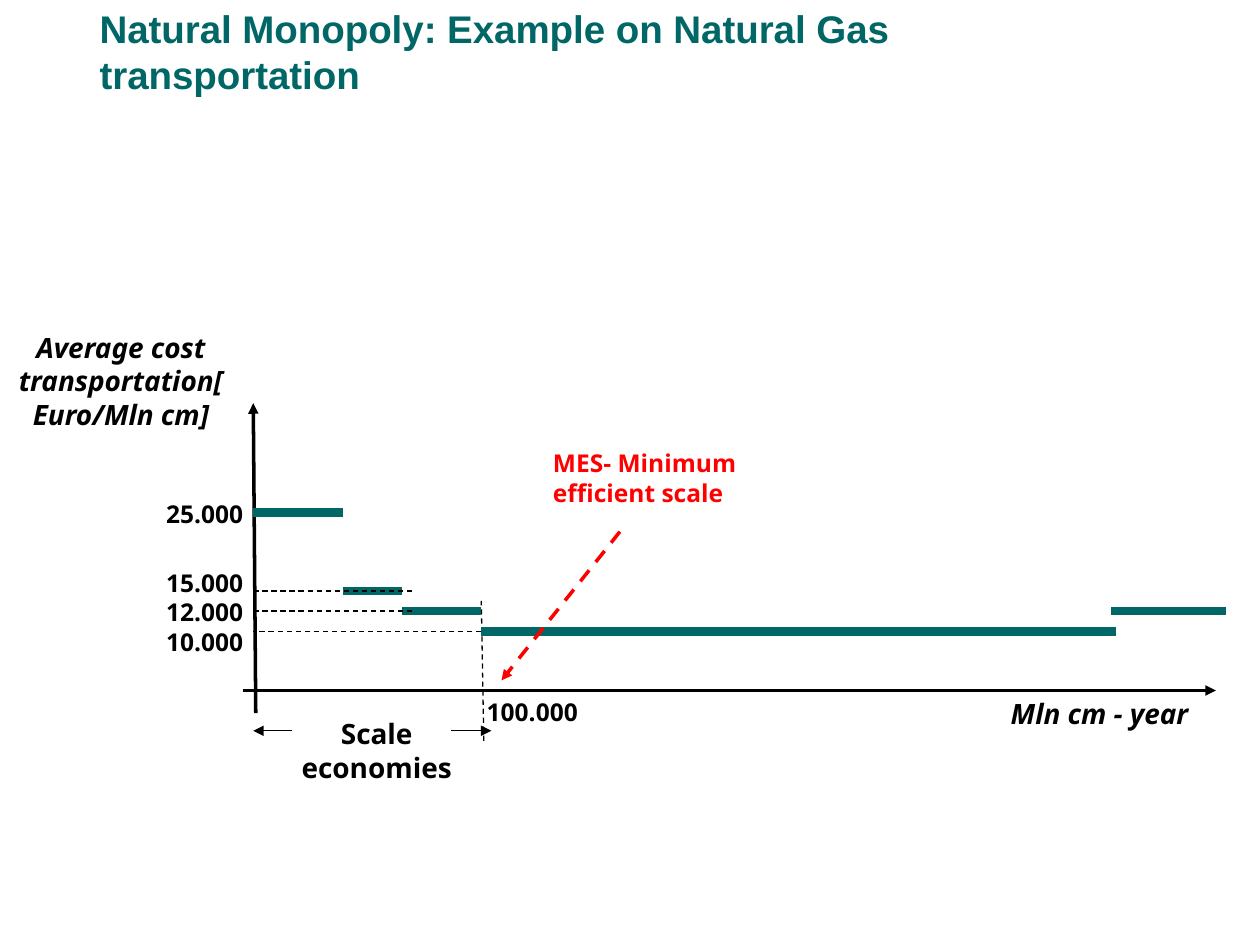
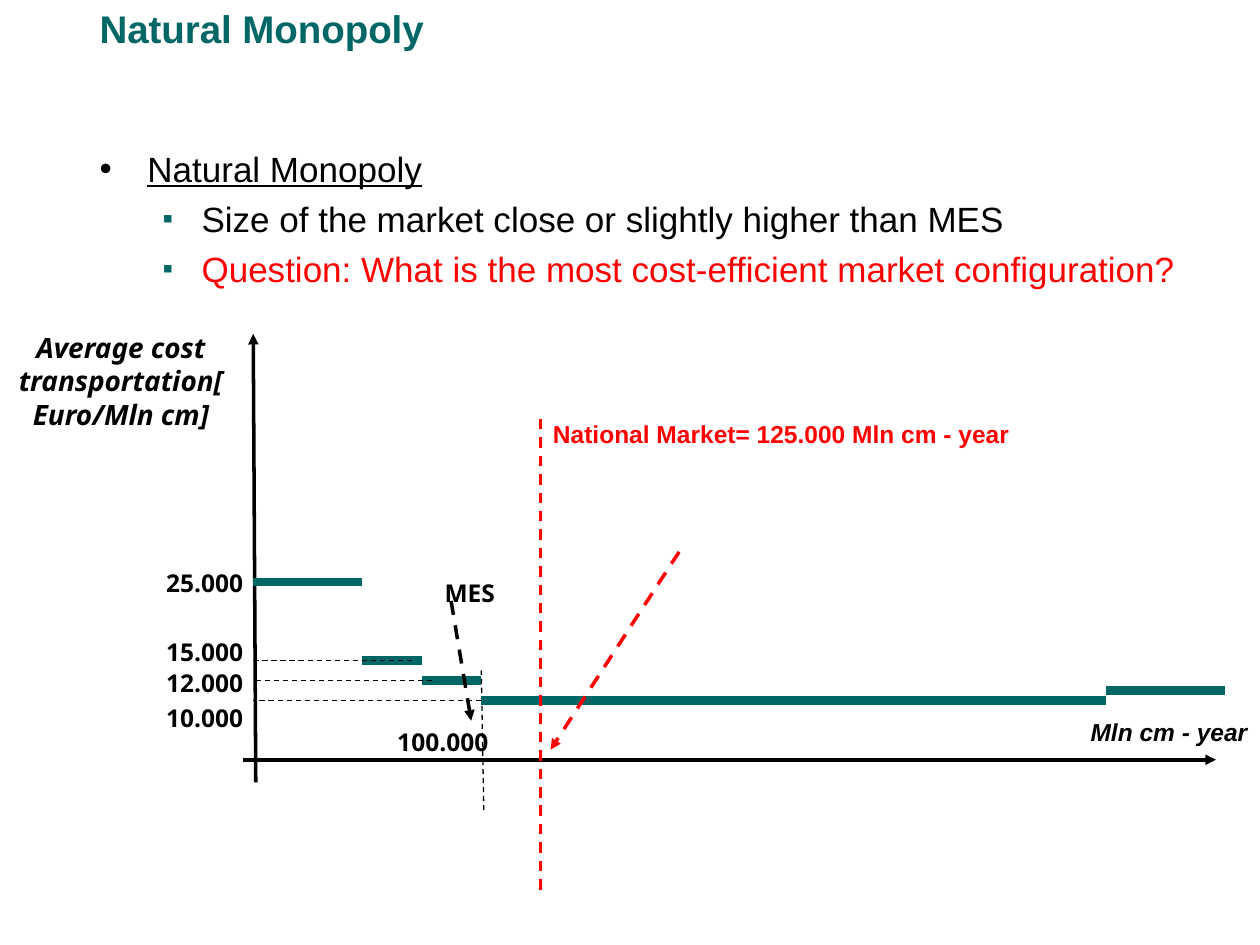
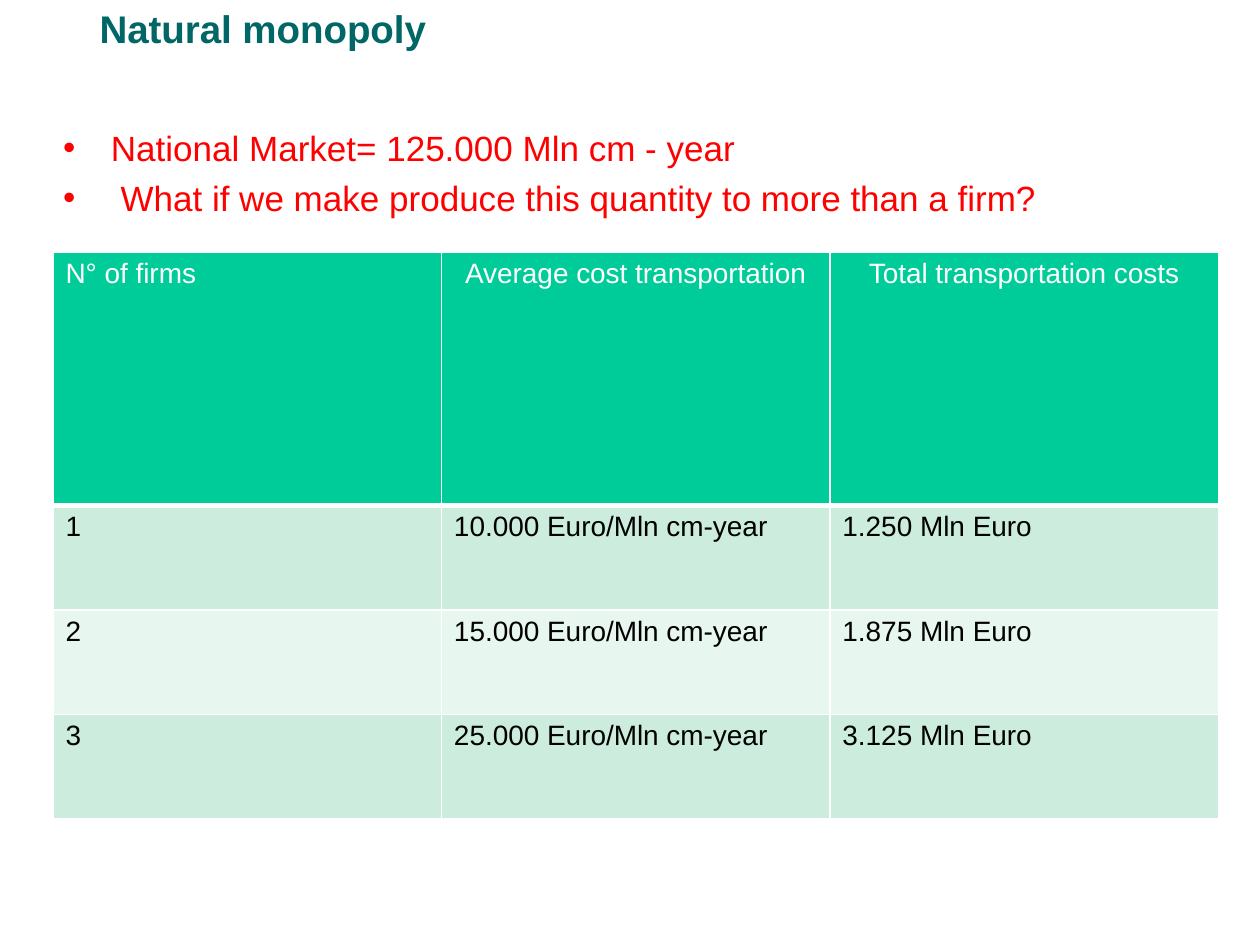
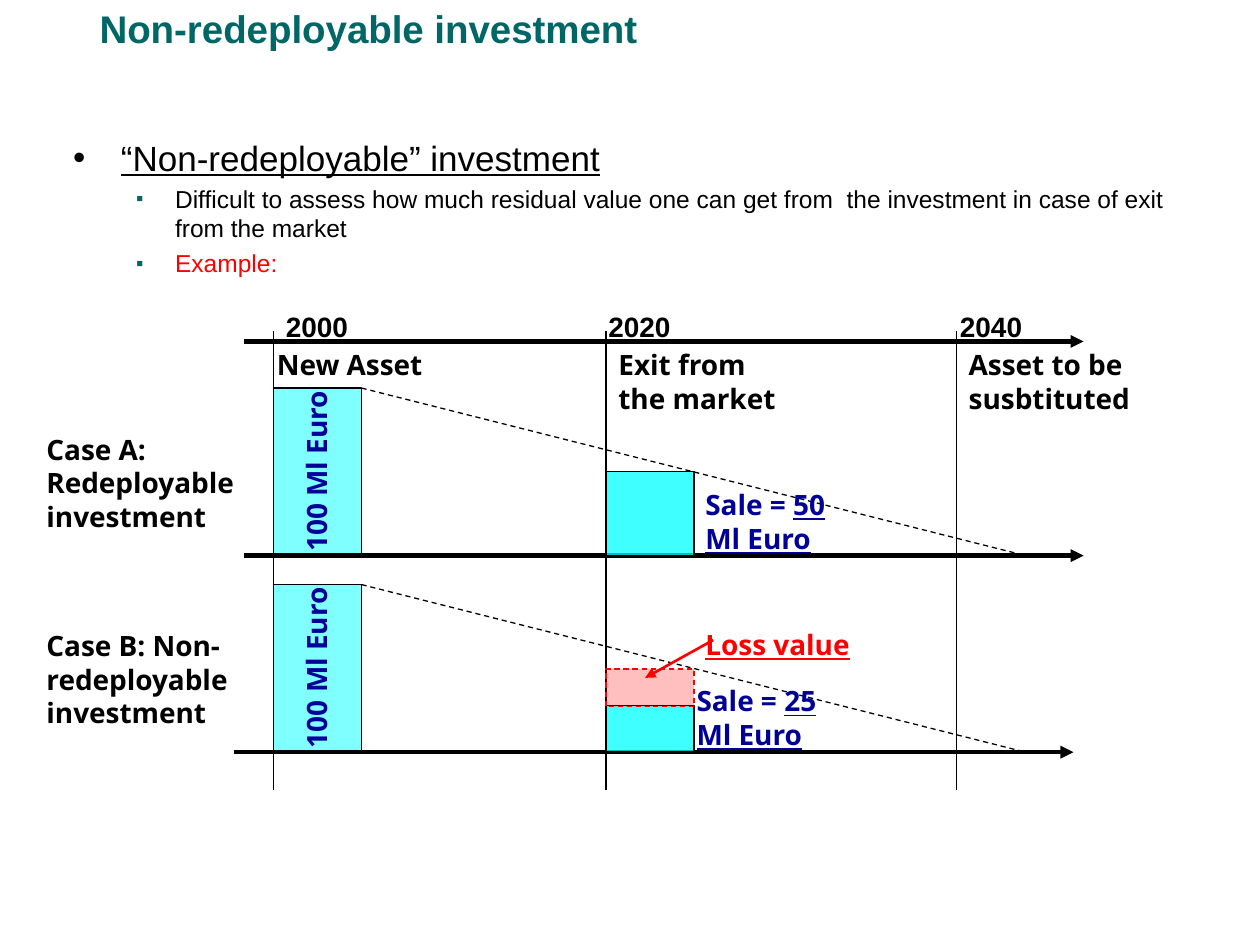
from lxml import etree
from pptx import Presentation
from pptx.dml.color import RGBColor
from pptx.enum.dml import MSO_LINE
from pptx.enum.shapes import MSO_CONNECTOR, MSO_SHAPE
from pptx.enum.text import MSO_ANCHOR, MSO_AUTO_SIZE, PP_ALIGN
from pptx.oxml.ns import qn
from pptx.util import Inches, Pt

LEFT, CENTER, RIGHT = PP_ALIGN.LEFT, PP_ALIGN.CENTER, PP_ALIGN.RIGHT
STRAIGHT, RECTANGLE, DASH = MSO_CONNECTOR.STRAIGHT, MSO_SHAPE.RECTANGLE, MSO_LINE.DASH
TOP, NO_AUTOFIT = MSO_ANCHOR.TOP, MSO_AUTO_SIZE.NONE

TEAL = RGBColor(0x00, 0x66, 0x66)
BLACK = RGBColor(0x00, 0x00, 0x00)
WHITE = RGBColor(0xFF, 0xFF, 0xFF)
RED = RGBColor(0xFF, 0x00, 0x00)
NAVY = RGBColor(0x00, 0x00, 0x99)
CYAN = RGBColor(0x00, 0xFF, 0xFF)
HEADER_GREEN = RGBColor(0x00, 0xCC, 0x99)
ROW_GREENS = RGBColor(0xCC, 0xEC, 0xDE), RGBColor(0xE7, 0xF6, 0xEF)
ARIAL, NOTO = "Arial", "Noto Sans"

BULLETS = [("\u2022", 0.38, 0.38), ("\u25aa", 0.81, 0.31)]

AXIS_X, MES_X = 2.01, 3.82
LEVELS = {"25.000": 1.41, "15.000": 0.79, "12.000": 0.63, "10.000": 0.47}
COST_TITLE = "Average cost transportation[Euro/Mln cm]"

GAS_CHART = {
    "base": 5.48,
    "axis_top": 3.2,
    "steps": [(2.01, 2.72, 1.41), (2.72, 3.19, 0.79), (3.19, 3.82, 0.63),
              (3.82, 8.86, 0.47), (8.82, 9.73, 0.63)],
    "guides": [("15.000", 3.27), ("12.000", 3.27), ("10.000", MES_X)],
    "labels": [(["25.000"], 1.57), (["15.000"], 1.02), (["12.000"], 0.79), (["10.000"], 0.55)],
}
MARKET_CHART = {
    "base": 6.03,
    "axis_top": 2.65,
    "steps": [(2.01, 2.87, 1.41), (2.87, 3.35, 0.79), (3.35, 3.82, 0.63),
              (3.82, 8.78, 0.47), (8.78, 9.72, 0.55)],
    "guides": [("15.000", 3.27), ("12.000", 3.43), ("10.000", MES_X)],
    "labels": [(["25.000"], 1.57), (["15.000"], 1.02), (["12.000", "10.000"], 0.78)],
}

MONOPOLY_POINTS = [
    (0, "Natural Monopoly", 20, BLACK, True),
    (1, "Size of the market close or slightly higher than MES", 20, BLACK, False),
    (1, "Question: What is the most cost-efficient market configuration?", 20, RED, False),
]
FIRMS_POINTS = [
    (0, "National Market= 125.000 Mln cm - year", 20, RED, False),
    (0, " What if we make produce this quantity to more than a firm?", 20, RED, False),
]
INVESTMENT_POINTS = [
    (0, "\u201cNon-redeployable\u201d investment", 20, BLACK, True),
    (1, "Difficult to assess how much residual value one can get from  the investment "
        "in case of exit from the market", 14, BLACK, False),
    (1, "Example:", 14, RED, False),
]

FIRMS_TABLE = [
    ("N\u00b0 of firms", "Average cost transportation", "Total transportation costs"),
    ("1", "10.000 Euro/Mln cm-year", "1.250 Mln Euro"),
    ("2", "15.000 Euro/Mln cm-year", "1.875 Mln Euro"),
    ("3", "25.000 Euro/Mln cm-year", "3.125 Mln Euro"),
]
ROW_HEIGHTS = [2.01, 0.83, 0.83, 0.83]

TIMELINE = [
    (2.17, "2000", 2.17, "New Asset", 2.1, 2.4),
    (4.81, "2020", 4.73, "Exit from the market", 4.81, 1.63),
    (7.59, "2040", 7.52, "Asset to be susbtituted", 7.59, 2.17),
]
CASES = [
    ("Case A: Redeployable investment", "50 Ml Euro", 1.94, 5.5, 0.67),
    ("Case B: Non-redeployable investment", "25 Ml Euro", 1.86, 5.43, 0.37),
]
CASE_SHIFT, BAR_WIDTH, BAR_HEIGHT = 1.56, 0.7, 1.33


def style_runs(paragraph, size, color, font=NOTO, bold=True, italic=None, underline=None):
    for run in paragraph.runs:
        run.font.size = Pt(size)
        run.font.name = font
        run.font.color.rgb = color
        run.font.bold = bold
        run.font.italic = italic
        run.font.underline = underline


def add_text(shapes, box, lines, size=16, color=BLACK, font=NOTO, align=LEFT,
             italic=None, underline=None):
    shape = shapes.add_textbox(*map(Inches, box))
    frame = shape.text_frame
    frame.word_wrap = True
    frame.text = "\n".join([lines] if isinstance(lines, str) else lines)
    for paragraph in frame.paragraphs:
        paragraph.alignment = align
        paragraph.space_before = Pt(size * 0.23)
        style_runs(paragraph, size, color, font, True, italic, underline)
    return shape


def add_line(shapes, start, end, width=0.75, color=BLACK, dashed=False, arrow=False):
    connector = shapes.add_connector(STRAIGHT, *map(Inches, (*start, *end)))
    connector.line.width = Pt(width)
    connector.line.color.rgb = color
    if dashed:
        connector.line.dash_style = DASH
    if arrow:
        etree.SubElement(connector.line._get_or_add_ln(), qn("a:tailEnd"), type="triangle")
    etree.SubElement(connector._element.spPr, qn("a:effectLst"))


def add_block(shapes, box, color, opacity, outline=BLACK, dashed=False):
    block = shapes.add_shape(RECTANGLE, *map(Inches, box))
    block.shadow.inherit = False
    block.fill.solid()
    block.fill.fore_color.rgb = color
    fill_color = block._element.spPr.find(qn("a:solidFill"))[0]
    etree.SubElement(fill_color, qn("a:alpha"), val=str(opacity * 1000))
    block.line.color.rgb = outline
    block.line.width = Pt(0.75)
    if dashed:
        block.line.dash_style = DASH


def clear_insets(frame):
    frame.margin_left = frame.margin_top = frame.margin_right = frame.margin_bottom = 0
    frame.word_wrap = True


def add_slide(title, title_width=6.5):
    slide = presentation.slides.add_slide(presentation.slide_layouts[5])
    shape = slide.shapes.title
    shape.left, shape.top, shape.width, shape.height = map(Inches, (0.79, 0.04, title_width, 0.92))
    frame = shape.text_frame
    frame.text = title
    clear_insets(frame)
    frame.auto_size = NO_AUTOFIT
    frame.vertical_anchor = TOP
    frame.paragraphs[0].alignment = LEFT
    style_runs(frame.paragraphs[0], 22, TEAL, ARIAL)
    return slide


def add_points(slide, left, top, width, points):
    frame = slide.shapes.add_textbox(*map(Inches, (left, top, width, 5.42))).text_frame
    clear_insets(frame)
    frame.text = "\n".join(point[1] for point in points)
    for paragraph, (level, _, size, color, underline) in zip(frame.paragraphs, points):
        character, margin, hanging = BULLETS[level]
        paragraph.level = level
        paragraph.space_before = Pt(size * 0.23)
        style_runs(paragraph, size, color, ARIAL, False, underline=underline)
        properties = paragraph._p.get_or_add_pPr()
        properties.set("marL", str(Inches(margin)))
        properties.set("indent", str(-Inches(hanging)))
        if level:
            bullet_color = etree.SubElement(properties, qn("a:buClr"))
            etree.SubElement(bullet_color, qn("a:srgbClr"), val=str(TEAL))
            etree.SubElement(properties, qn("a:buSzPct"), val="85000")
        etree.SubElement(properties, qn("a:buFont"), typeface=ARIAL)
        etree.SubElement(properties, qn("a:buChar"), char=character)


def add_cost_chart(shapes, chart):
    base = chart["base"]
    add_line(shapes, (2.03, base + 0.18), (AXIS_X, chart["axis_top"]), 2, arrow=True)
    add_line(shapes, (1.93, base), (9.65, base), 2, arrow=True)
    add_line(shapes, (3.84, base + 0.4), (MES_X, base - 0.71), dashed=True)
    for start, end, level in chart["steps"]:
        add_line(shapes, (start, base - level), (end, base - level), 5, TEAL)
    for name, end in chart["guides"]:
        level = base - LEVELS[name]
        add_line(shapes, (end, level), (AXIS_X, level), dashed=True)
    for lines, rise in chart["labels"]:
        add_text(shapes, (0.83, base - rise, 1.2, 0.61), lines, 14, align=RIGHT)
    add_text(shapes, (0, 2.57, 1.92, 0.85), COST_TITLE, align=CENTER, italic=True)


def add_gas_slide():
    slide = add_slide("Natural Monopoly: Example on Natural Gas transportation", 7.21)
    shapes = slide.shapes.add_group_shape().shapes
    add_cost_chart(shapes, GAS_CHART)
    add_text(shapes, (2.24, 5.64, 1.5, 0.61), "Scale economies", align=CENTER)
    for start, end in [(3.58, 3.9), (2.32, 2.01)]:
        add_line(shapes, (start, 5.8), (end, 5.8), arrow=True)
    add_text(shapes, (4.29, 3.51, 1.97, 0.94), "MES- Minimum efficient scale", 14, RED)
    add_line(shapes, (4.92, 4.22), (3.98, 5.4), 2, RED, True, True)
    add_text(shapes, (6.89, 5.48, 2.64, 0.61), "Mln cm - year", align=RIGHT, italic=True)
    add_text(shapes, (3.35, 5.48, 1.75, 0.61), "100.000", 14, align=CENTER)


def add_market_slide():
    slide = add_slide("Natural Monopoly")
    shapes = slide.shapes
    add_points(slide, 0.79, 1.17, 9, MONOPOLY_POINTS)
    add_cost_chart(shapes, MARKET_CHART)
    add_text(shapes, (7.36, 5.64, 2.64, 0.61), "Mln cm - year", 14, font=ARIAL,
             align=RIGHT, italic=True)
    add_line(shapes, (4.29, 7.06), (4.29, 3.28), 1.5, RED, True)
    add_text(shapes, (4.29, 3.28, 4.29, 0.53), "National Market= 125.000 Mln cm - year",
             14, RED, ARIAL)
    add_text(shapes, (3.43, 4.54, 0.71, 0.39), "MES", 14)
    add_line(shapes, (3.58, 4.77), (3.74, 5.72), 2, BLACK, True, True)
    add_text(shapes, (2.64, 5.72, 1.75, 0.61), "100.000", 14, align=CENTER)
    add_line(shapes, (5.39, 4.38), (4.37, 5.95), 2, RED, True, True)


def add_borders(cell, bottom):
    properties = cell._tc.get_or_add_tcPr()
    for side, width in [("L", 1), ("R", 1), ("T", 1), ("B", bottom)]:
        border = etree.SubElement(properties, qn("a:ln" + side), w=str(Pt(width)))
        fill = etree.SubElement(border, qn("a:solidFill"))
        etree.SubElement(fill, qn("a:srgbClr"), val=str(WHITE))


def add_firms_slide():
    slide = add_slide("Natural monopoly")
    box = map(Inches, (0.42, 2, 9.25, sum(ROW_HEIGHTS)))
    table = slide.shapes.add_table(len(FIRMS_TABLE), len(FIRMS_TABLE[0]), *box).table
    for row, (values, height) in enumerate(zip(FIRMS_TABLE, ROW_HEIGHTS)):
        table.rows[row].height = Inches(height)
        header = row == 0
        for column, value in enumerate(values):
            cell = table.cell(row, column)
            add_borders(cell, 3 if header else 1)
            cell.fill.solid()
            cell.fill.fore_color.rgb = HEADER_GREEN if header else ROW_GREENS[(row - 1) % 2]
            cell.text_frame.text = value
            paragraph = cell.text_frame.paragraphs[0]
            paragraph.alignment = CENTER if header and column else LEFT
            style_runs(paragraph, 16, WHITE if header else BLACK, ARIAL, None)
    add_points(slide, 0.5, 1, 9.29, FIRMS_POINTS)


def add_investment_slide():
    slide = add_slide("Non-redeployable investment")
    add_points(slide, 0.58, 1.08, 9, INVESTMENT_POINTS)
    shapes = slide.shapes.add_group_shape().shapes
    new_x, exit_x = TIMELINE[0][0], TIMELINE[1][0]
    add_line(shapes, (1.94, 2.71), (8.6, 2.71), 2.5, arrow=True)
    for x, year, year_x, event, event_x, event_width in TIMELINE:
        add_line(shapes, (x, 6.27), (x, 2.63))
        add_text(shapes, (year_x, 2.41, 1.01, 0.38), year, font=ARIAL)
        add_text(shapes, (event_x, 2.71, event_width, 0.64), event)

    for index, (name, sale, axis_x, sale_x, sale_height) in enumerate(CASES):
        shift = index * CASE_SHIFT
        base = 4.41 + shift
        top = base - BAR_HEIGHT
        bar_right = new_x + BAR_WIDTH
        add_block(shapes, (new_x, top, BAR_WIDTH, BAR_HEIGHT), CYAN, 50)
        add_line(shapes, (axis_x, base), (axis_x + 6.66, base), 2.5, arrow=True)
        add_block(shapes, (exit_x, base - sale_height, BAR_WIDTH, sale_height), CYAN, 75)
        add_line(shapes, (bar_right, top), (8.14, base), dashed=True)
        add_text(shapes, (0.27, 3.38 + shift, 2.01, 0.91), name)
        value = add_text(shapes, (1.66, 3.45 + shift, 1.69, 0.36), "100 Ml Euro", color=NAVY)
        value.rotation = 270
        label = add_text(shapes, (sale_x, 3.82 + shift, 1.47, 0.64), "Sale = ", color=NAVY)
        paragraph = label.text_frame.paragraphs[0]
        paragraph.add_run().text = sale
        style_runs(paragraph, 16, NAVY)
        paragraph.runs[1].font.underline = True

    add_block(shapes, (exit_x, 5.31, BAR_WIDTH, 0.3), RED, 25, RED, True)
    add_text(shapes, (5.5, 4.93, 2.01, 0.38), "Loss value", color=RED, underline=True)
    add_line(shapes, (5.66, 5.08), (5.12, 5.38), 1.5, RED, arrow=True)


presentation = Presentation()
presentation.slide_width, presentation.slide_height = Inches(10), Inches(7.5)
add_gas_slide()
add_market_slide()
add_firms_slide()
add_investment_slide()
presentation.save("out.pptx")
